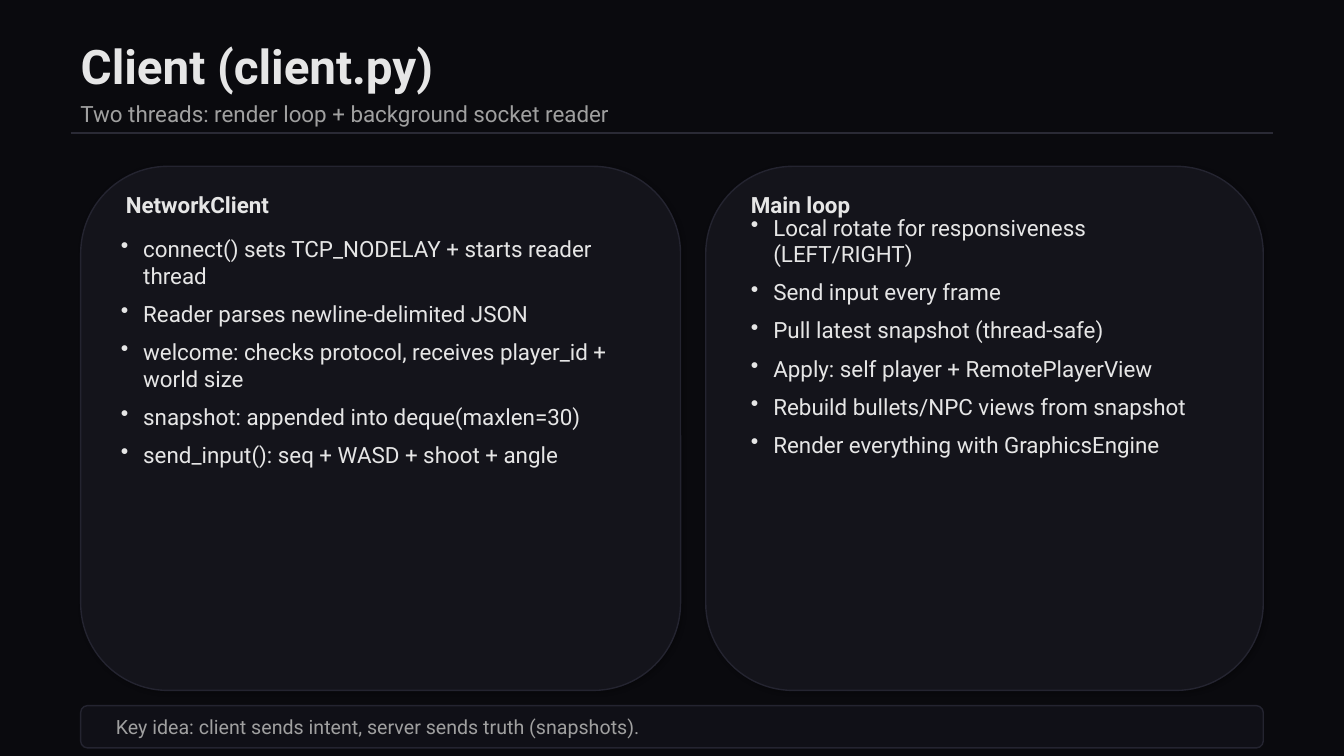
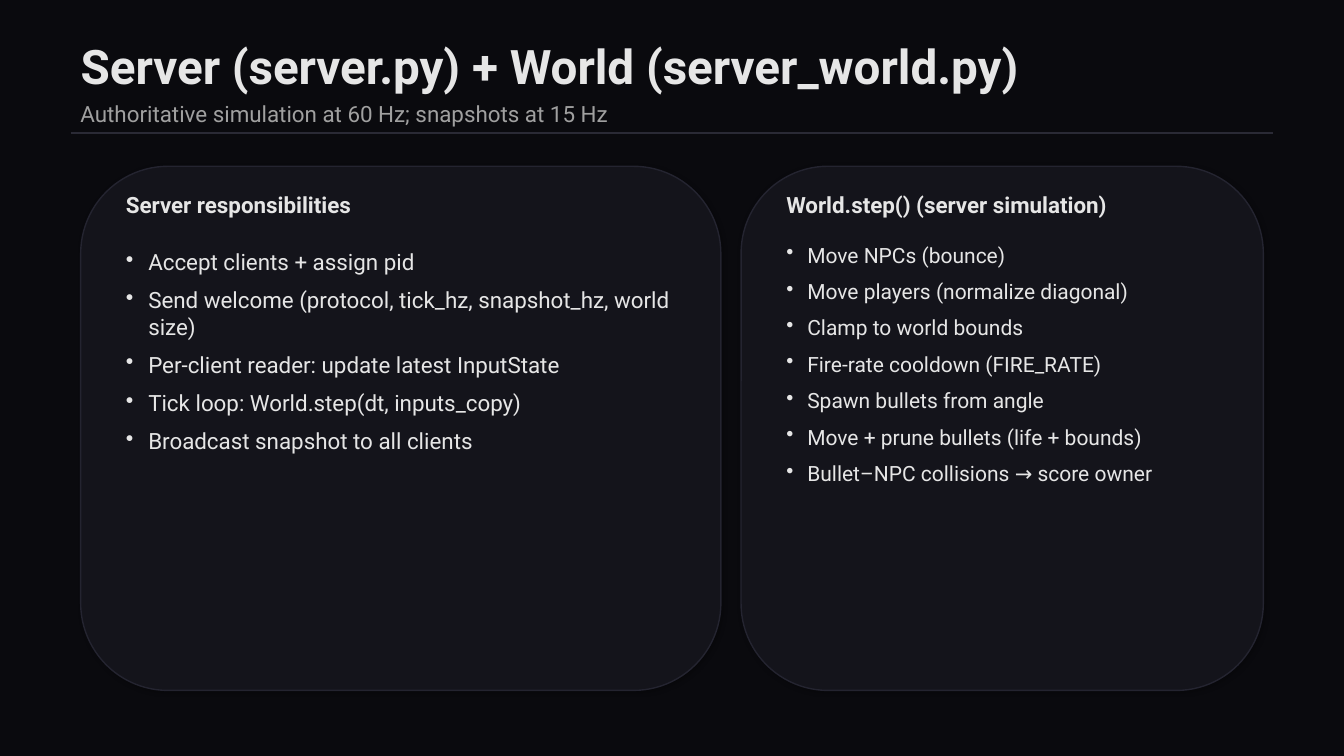
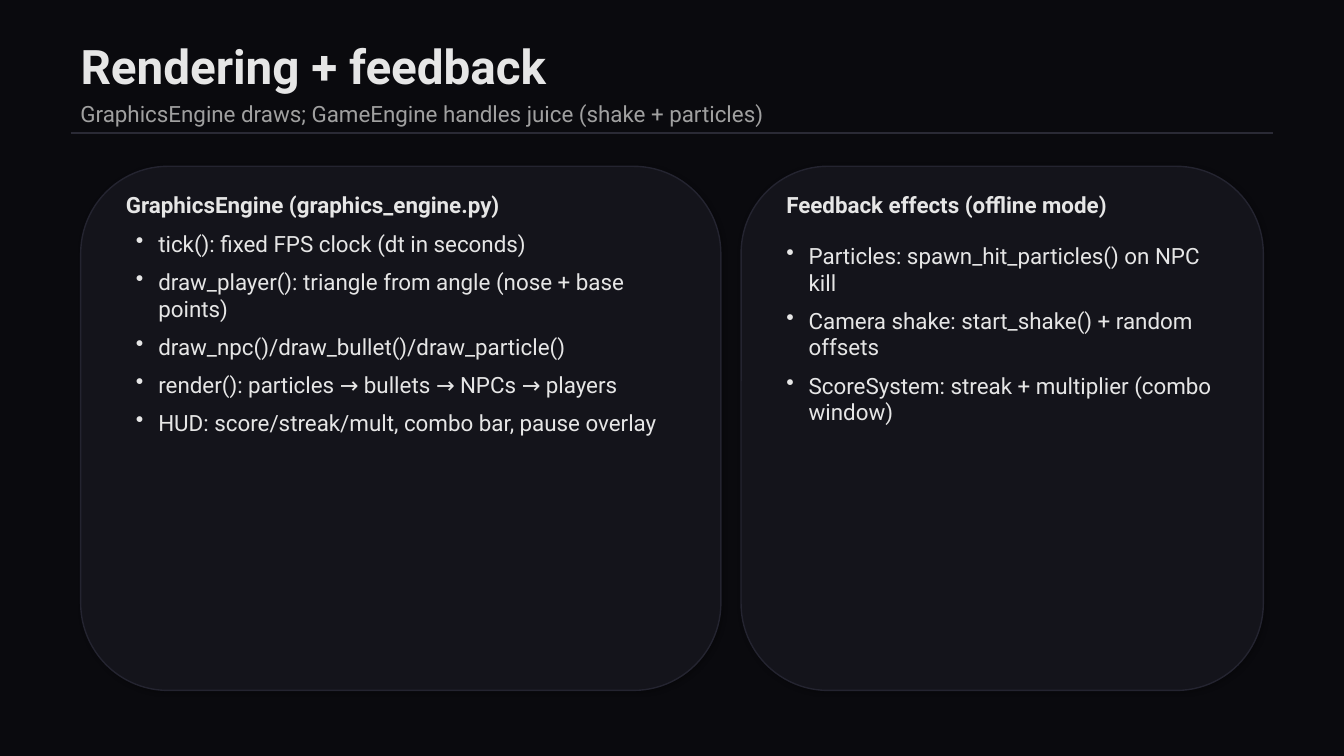
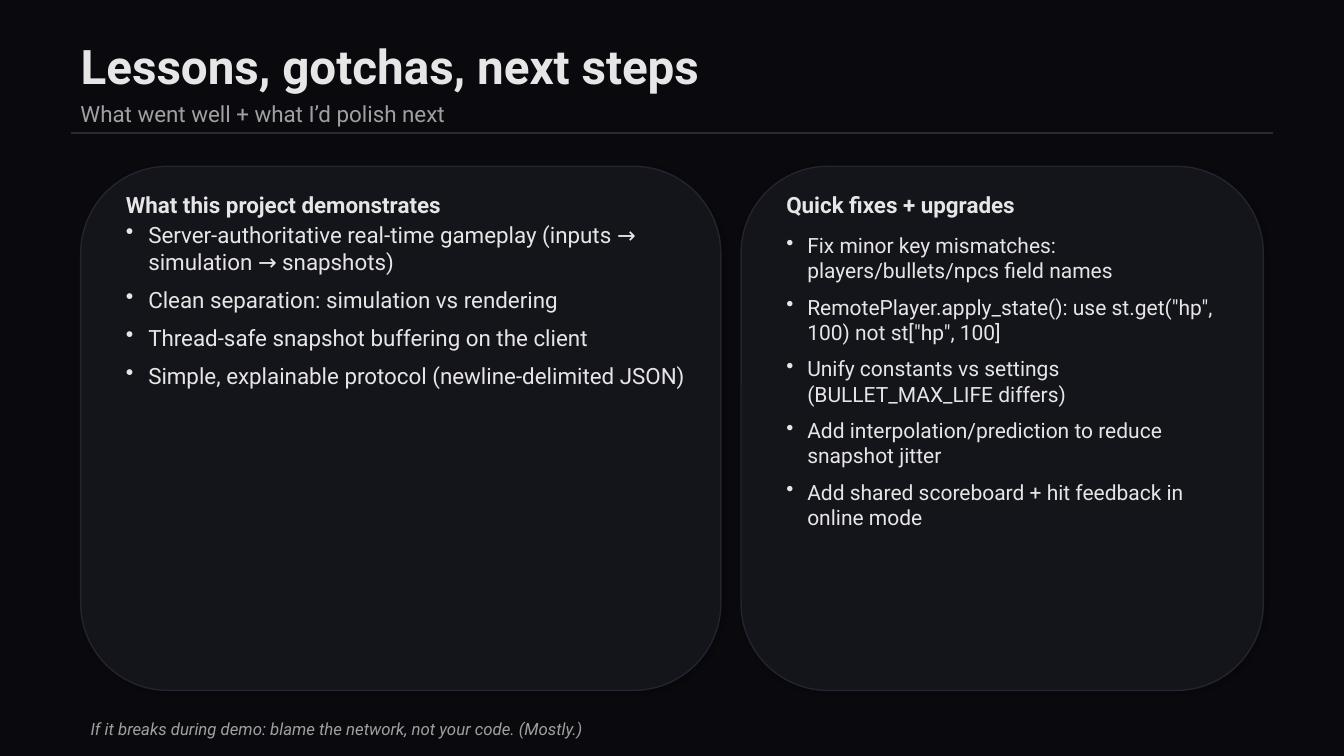
from dataclasses import dataclass

from lxml import etree
from pptx import Presentation
from pptx.dml.color import RGBColor
from pptx.enum.shapes import MSO_CONNECTOR, MSO_SHAPE
from pptx.enum.text import MSO_ANCHOR, MSO_AUTO_SIZE, PP_ALIGN
from pptx.oxml.ns import qn
from pptx.util import Pt

PX = 9144  # EMU per px, 100 px to the inch
ROUND_RECT = MSO_SHAPE.ROUNDED_RECTANGLE
STRAIGHT = MSO_CONNECTOR.STRAIGHT
MIDDLE = MSO_ANCHOR.MIDDLE
LEFT = PP_ALIGN.LEFT
NO_AUTOFIT = MSO_AUTO_SIZE.NONE
TITLE_ONLY = 5

PANEL_LEFT, PANEL_RIGHT = 80, 1253
PANEL_TOP, PANEL_HEIGHT = 165, 520


@dataclass(frozen=True)
class Theme:
    font: str = "Roboto"
    background: str = "0A0A0E"
    panel: str = "14141B"
    bar: str = "101017"
    border: str = "242430"
    rule: str = "2A2A35"
    shadow: str = "000000"
    text: str = "E6E6E6"
    muted: str = "A0A0A0"
    title_size: int = 34
    body_size: int = 16
    compact_size: int = 15
    bar_size: int = 14
    note_size: int = 12


THEME = Theme()


def rgb(color):
    return RGBColor.from_string(color)


def px(*lengths):
    return [n * PX for n in lengths]


class Deck:
    def __init__(self, theme):
        self.theme = theme
        self.prs = Presentation()
        self.prs.slide_width, self.prs.slide_height = px(1333, 750)
        fill = self.prs.slide_master.background.fill
        fill.solid()
        fill.fore_color.rgb = rgb(theme.background)
        self.s = None

    def new_slide(self, title, subtitle):
        t = self.theme
        self.s = self.prs.slides.add_slide(self.prs.slide_layouts[TITLE_ONLY])
        sp = self.s.shapes.title
        sp.left, sp.top, sp.width, sp.height = px(70, 35, 1193, 60)
        self.set_text(sp, [title], t.title_size, t.text, bold=True)
        self.text(70, 95, 1193, 35, subtitle, t.body_size, t.muted)
        self.rule(70, 132, 1263)

    def set_text(self, sp, lines, size, color, bold=False, italic=False):
        tf = sp.text_frame
        tf.word_wrap = True
        tf.auto_size = NO_AUTOFIT
        tf.vertical_anchor = MIDDLE
        tf.text = "\n".join(lines)
        for p in tf.paragraphs:
            p.alignment = LEFT
            for r in p.runs:
                r.font.name = self.theme.font
                r.font.size = Pt(size)
                r.font.bold = bold
                r.font.italic = italic
                r.font.color.rgb = rgb(color)
        return tf

    def text(self, x, y, w, h, text, size, color, **style):
        sp = self.s.shapes.add_textbox(*px(x, y, w, h))
        self.set_text(sp, [text], size, color, **style)

    def bullets(self, x, y, w, h, items, size):
        sp = self.s.shapes.add_textbox(*px(x, y, w, h))
        tf = self.set_text(sp, items, size, self.theme.text)
        for p in tf.paragraphs:
            p.space_after = Pt(8)
            pPr = p._p.get_or_add_pPr()
            pPr.set("marL", str(Pt(size)))
            pPr.set("indent", str(-Pt(size)))
            etree.SubElement(pPr, qn("a:buChar"), char="•")

    def rule(self, x1, y, x2):
        line = self.s.shapes.add_connector(STRAIGHT, *px(x1, y, x2, y))
        line.line.color.rgb = rgb(self.theme.rule)
        line.line.width = Pt(1)
        etree.SubElement(line._element.spPr, qn("a:effectLst"))

    def box(self, x, y, w, h, color):
        sp = self.s.shapes.add_shape(ROUND_RECT, *px(x, y, w, h))
        sp.fill.solid()
        sp.fill.fore_color.rgb = rgb(color)
        sp.line.color.rgb = rgb(self.theme.border)
        sp.line.width = Pt(1)
        sp.shadow.inherit = False
        return sp

    def cast_shadow(self, sp):
        effects = sp._element.spPr.find(qn("a:effectLst"))
        shadow = etree.SubElement(
            effects, qn("a:outerShdw"), blurRad=str(Pt(3)), dist=str(Pt(1.5)),
            dir=str(45 * 60000), algn="bl", rotWithShape="0")
        color = etree.SubElement(shadow, qn("a:srgbClr"), val=self.theme.shadow)
        etree.SubElement(color, qn("a:alpha"), val="25000")

    def panel(self, x, w, heading, items, list_box, size=THEME.body_size):
        t = self.theme
        self.cast_shadow(self.box(x, PANEL_TOP, w, PANEL_HEIGHT, t.panel))
        self.text(x + 35, PANEL_TOP + 22, w - 70, 32, heading, t.body_size,
                  t.text, bold=True)
        self.bullets(*list_box, items, size)

    def panels(self, left, right, left_width=635, gap=20):
        right_x = PANEL_LEFT + left_width + gap
        self.panel(PANEL_LEFT, left_width, **left)
        self.panel(right_x, PANEL_RIGHT - right_x, **right)

    def key_idea(self, text):
        t = self.theme
        self.box(PANEL_LEFT, 700, PANEL_RIGHT - PANEL_LEFT, 42, t.bar)
        self.text(105, 706, 1123, 30, text, t.bar_size, t.muted)

    def footnote(self, text):
        t = self.theme
        self.text(PANEL_LEFT, 705, PANEL_RIGHT - PANEL_LEFT, 35, text,
                  t.note_size, t.muted, italic=True)


def client_slide(deck):
    deck.new_slide("Client (client.py)",
                   "Two threads: render loop + background socket reader")
    deck.panels(
        dict(heading="NetworkClient", list_box=(110, 256, 535, 185), items=[
            "connect() sets TCP_NODELAY + starts reader thread",
            "Reader parses newline-delimited JSON",
            "welcome: checks protocol, receives player_id + world size",
            "snapshot: appended into deque(maxlen=30)",
            "send_input(): seq + WASD + shoot + angle",
        ]),
        dict(heading="Main loop", list_box=(735, 225, 495, 216), items=[
            "Local rotate for responsiveness (LEFT/RIGHT)",
            "Send input every frame",
            "Pull latest snapshot (thread-safe)",
            "Apply: self player + RemotePlayerView",
            "Rebuild bullets/NPC views from snapshot",
            "Render everything with GraphicsEngine",
        ]),
        left_width=595, gap=25)
    deck.key_idea("Key idea: client sends intent, server sends truth (snapshots).")


def server_slide(deck):
    deck.new_slide("Server (server.py) + World (server_world.py)",
                   "Authoritative simulation at 60 Hz; snapshots at 15 Hz")
    deck.panels(
        dict(heading="Server responsibilities", list_box=(115, 256, 575, 185), items=[
            "Accept clients + assign pid",
            "Send welcome (protocol, tick_hz, snapshot_hz, world size)",
            "Per-client reader: update latest InputState",
            "Tick loop: World.step(dt, inputs_copy)",
            "Broadcast snapshot to all clients",
        ]),
        dict(heading="World.step() (server simulation)", size=THEME.compact_size,
             list_box=(770, 245, 455, 232), items=[
                 "Move NPCs (bounce)",
                 "Move players (normalize diagonal)",
                 "Clamp to world bounds",
                 "Fire-rate cooldown (FIRE_RATE)",
                 "Spawn bullets from angle",
                 "Move + prune bullets (life + bounds)",
                 "Bullet–NPC collisions → score owner",
             ]))


def rendering_slide(deck):
    deck.new_slide("Rendering + feedback",
                   "GraphicsEngine draws; GameEngine handles juice (shake + particles)")
    deck.panels(
        dict(heading="GraphicsEngine (graphics_engine.py)",
             list_box=(125, 238, 575, 185), items=[
                 "tick(): fixed FPS clock (dt in seconds)",
                 "draw_player(): triangle from angle (nose + base points)",
                 "draw_npc()/draw_bullet()/draw_particle()",
                 "render(): particles → bullets → NPCs → players",
                 "HUD: score/streak/mult, combo bar, pause overlay",
             ]),
        dict(heading="Feedback effects (offline mode)",
             list_box=(770, 251, 455, 160), items=[
                 "Particles: spawn_hit_particles() on NPC kill",
                 "Camera shake: start_shake() + random offsets",
                 "ScoreSystem: streak + multiplier (combo window)",
             ]))


def lessons_slide(deck):
    deck.new_slide("Lessons, gotchas, next steps",
                   "What went well + what I’d polish next")
    deck.panels(
        dict(heading="What this project demonstrates",
             list_box=(115, 225, 575, 155), items=[
                 "Server-authoritative real-time gameplay (inputs → simulation → snapshots)",
                 "Clean separation: simulation vs rendering",
                 "Thread-safe snapshot buffering on the client",
                 "Simple, explainable protocol (newline-delimited JSON)",
             ]),
        dict(heading="Quick fixes + upgrades", size=THEME.compact_size,
             list_box=(770, 357, 455, 42), items=[
                 "Fix minor key mismatches: players/bullets/npcs field names",
                 'RemotePlayer.apply_state(): use st.get("hp", 100) not st["hp", 100]',
                 "Unify constants vs settings (BULLET_MAX_LIFE differs)",
                 "Add interpolation/prediction to reduce snapshot jitter",
                 "Add shared scoreboard + hit feedback in online mode",
             ]))
    deck.footnote("If it breaks during demo: blame the network, not your code. (Mostly.)")


def main():
    deck = Deck(THEME)
    for build in (client_slide, server_slide, rendering_slide, lessons_slide):
        build(deck)
    deck.prs.save("out.pptx")


if __name__ == "__main__":
    main()
